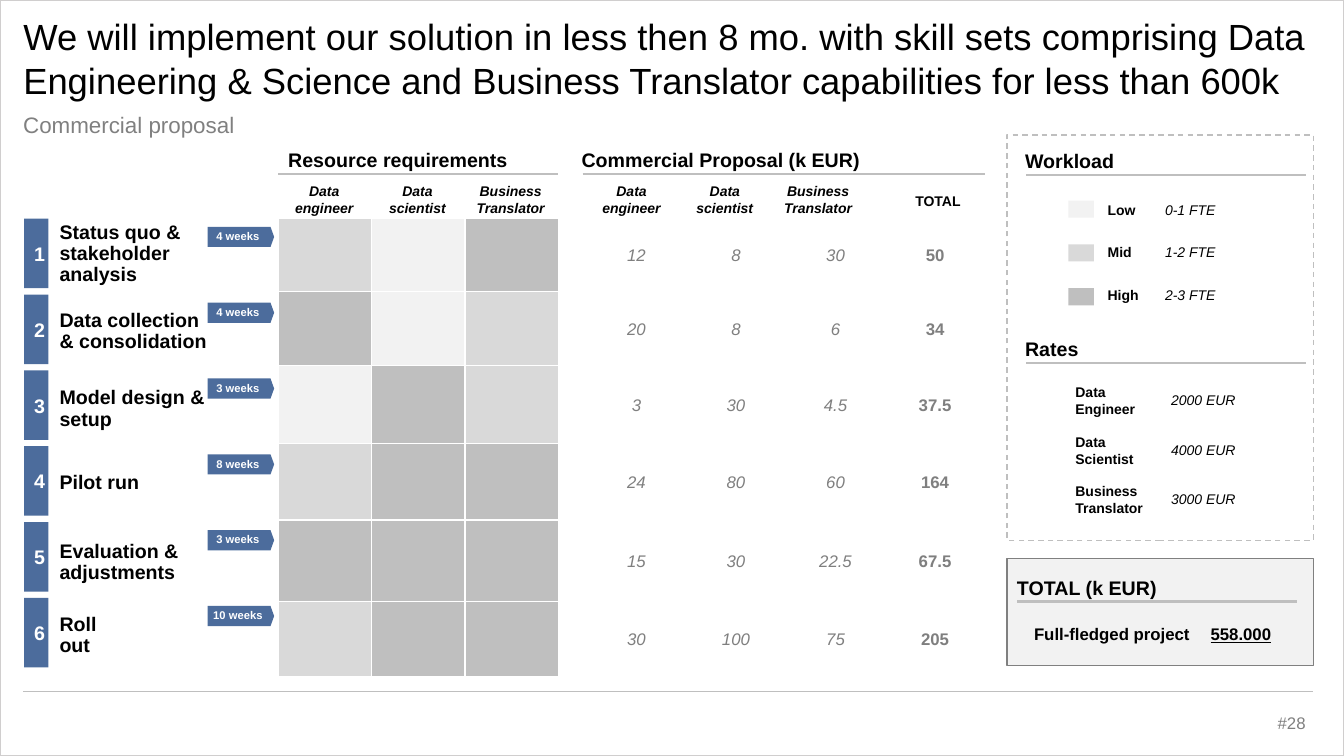
"""Build the commercial proposal slide: phases, workload heat map, prices and rates."""
import dataclasses

import lxml.etree
import pptx
import pptx.dml.color
import pptx.enum.dml
import pptx.enum.shapes
import pptx.enum.text
import pptx.oxml.ns
import pptx.util

ALIGN = pptx.enum.text.PP_ALIGN
ANCHOR = pptx.enum.text.MSO_ANCHOR
FIT = pptx.enum.text.MSO_AUTO_SIZE
SHAPE = pptx.enum.shapes.MSO_SHAPE
WIDTH, HEIGHT = pptx.util.Inches(13.33), pptx.util.Inches(7.5)


@dataclasses.dataclass(frozen=True)
class Theme:
    """Colours and type sizes of the slide."""
    font: str = "Arial"
    ink: str = "000000"
    white: str = "FFFFFF"
    muted: str = "808080"
    price: str = "7F7F7F"
    accent: str = "4C6C9C"
    rule: str = "BFBFBF"
    frame: str = "D0CECE"
    low: str = "F2F2F2"
    mid: str = "D9D9D9"
    high: str = "BFBFBF"
    title: int = 26
    subtitle: int = 16
    heading: int = 14
    body: int = 12
    small: int = 10
    tag: int = 8


THEME = Theme()
LEVELS = {"L": THEME.low, "M": THEME.mid, "H": THEME.high}
ROLES = ["Data engineer", "Data scientist", "Business Translator"]
ROW_SHARES = [9.6, 9.87, 10.27, 10.13, 10.8, 9.87]
PHASE_PITCH = 10.03
# name, label width, label middle, weeks, workload per role, price per role
PHASES = [
    ("Status quo &\nstakeholder analysis", 14.25, 33.6, 4, "MLH", (12, 8, 30)),
    ("Data collection\n& consolidation", 11.1, 43.87, 4, "HLM", (20, 8, 6)),
    ("Model design &\nsetup", 11.1, 54.13, 3, "LHM", (3, 30, 4.5)),
    ("Pilot run", 5.93, 63.87, 8, "MHH", (24, 80, 60)),
    ("Evaluation &\nadjustments", 9.23, 74.4, 3, "HHH", (15, 30, 22.5)),
    ("Roll out", 5.4, 84.13, 10, "MHH", (30, 100, 75)),
]
WORKLOADS = [("Low", "0-1 FTE", "L"), ("Mid", "1-2 FTE", "M"), ("High", "2-3 FTE", "H")]
RATES = [("Data Engineer", "2000 EUR"), ("Data Scientist", "4000 EUR"),
         ("Business Translator", "3000 EUR")]
FLUSH = {"margin_left": 0, "margin_right": 0}
TIGHT = {**FLUSH, "margin_top": 0, "margin_bottom": 0}


def rgb(colour):
    """Return a colour object for a hex string."""
    return pptx.dml.color.RGBColor.from_string(colour)


def across(share):
    """Return a length as a percentage of the slide width."""
    return int(WIDTH * share / 100)


def down(share):
    """Return a length as a percentage of the slide height."""
    return int(HEIGHT * share / 100)


def area(left, top, width, height):
    """Return left, top, width and height from shares of the slide."""
    return across(left), down(top), across(width), down(height)


def apply(target, values):
    """Set attributes of an object from a dict."""
    for name, value in values.items():
        setattr(target, name, value)


def write(frame, text, size, colour=THEME.ink, bold=False, italic=False,
          underline=None, align=ALIGN.LEFT, spacing=None, **frame_format):
    """Fill a text frame, one paragraph per line of text."""
    apply(frame, {"word_wrap": True, **frame_format})
    for index, line in enumerate(text.split("\n")):
        paragraph = frame.add_paragraph() if index else frame.paragraphs[0]
        apply(paragraph, {"alignment": align, "line_spacing": spacing})
        run = paragraph.add_run()
        run.text = line
        apply(run.font, {"name": THEME.font, "size": pptx.util.Pt(size), "bold": bold,
                         "italic": italic, "underline": underline})
        run.font.color.rgb = rgb(colour)


def add_label(slide, place, text, size, **text_format):
    """Add a text box."""
    frame = slide.shapes.add_textbox(*area(*place)).text_frame
    write(frame, text, size, **text_format)


def add_block(slide, place, fill=None, line=None, kind=SHAPE.RECTANGLE):
    """Add a preset shape with an optional fill and outline."""
    block = slide.shapes.add_shape(kind, *area(*place))
    block.shadow.inherit = False
    if fill:
        block.fill.solid()
        block.fill.fore_color.rgb = rgb(fill)
    else:
        block.fill.background()
    if line:
        block.line.color.rgb = rgb(line)
        block.line.width = pptx.util.Pt(1)
    else:
        block.line.fill.background()
    return block


def add_rule(slide, left, top, width, weight):
    """Add a horizontal line."""
    rule = slide.shapes.add_connector(
        pptx.enum.shapes.MSO_CONNECTOR.STRAIGHT,
        across(left), down(top), across(left + width), down(top))
    rule.line.color.rgb = rgb(THEME.rule)
    rule.line.width = pptx.util.Pt(weight)
    lxml.etree.SubElement(rule._element.spPr, pptx.oxml.ns.qn("a:effectLst"))


def add_heading(slide, text, left, top, rule_left, rule_width=20.85):
    """Add a bold section heading with a line below it."""
    add_label(slide, (left, top, 23, 4.53), text, THEME.heading, bold=True)
    add_rule(slide, rule_left, top + 4.1, rule_width, 1.5)


def add_role_names(slide, left):
    """Add the three role names above a table."""
    for index, role in enumerate(ROLES):
        add_label(slide, (left + 6.94 * index, 23.47, 6.68, 5.87), role, THEME.small,
                  bold=True, italic=True, align=ALIGN.CENTER)


def add_phase_table(slide, left, top, width, columns):
    """Add a plain table with one row per phase and return it."""
    place = area(left, top, width, sum(ROW_SHARES))
    table = slide.shapes.add_table(len(PHASES), columns, *place).table
    apply(table, {"first_row": False, "horz_banding": False})
    for row, share in zip(table.rows, ROW_SHARES):
        row.height = down(share)
    return table


def paint_cell(cell, fill, border=None):
    """Fill a cell and optionally outline it."""
    for side in ("lnL", "lnR", "lnT", "lnB") if border else ():
        edge = lxml.etree.SubElement(cell._tc.get_or_add_tcPr(),
                                     pptx.oxml.ns.qn("a:" + side), w="12700")
        solid = lxml.etree.SubElement(edge, pptx.oxml.ns.qn("a:solidFill"))
        lxml.etree.SubElement(solid, pptx.oxml.ns.qn("a:srgbClr"), val=border)
    cell.fill.solid()
    cell.fill.fore_color.rgb = rgb(fill)


def add_phase(slide, index, name, width, middle, weeks):
    """Add the number, name and duration tag of one phase."""
    offset = PHASE_PITCH * index
    number = add_block(slide, (1.8, 28.93 + offset, 1.8, 9.2), THEME.accent)
    write(number.text_frame, str(index + 1), THEME.heading, THEME.white, bold=True,
          align=ALIGN.CENTER, vertical_anchor=ANCHOR.MIDDLE)
    add_label(slide, (4.43, middle - 4.53, width, 9.06), name, THEME.heading, bold=True,
              spacing=0.9, vertical_anchor=ANCHOR.MIDDLE, **{**TIGHT, "word_wrap": False})
    tag = add_block(slide, (15.45, 30 + offset, 4.95, 2.67), THEME.accent, kind=SHAPE.PENTAGON)
    tag.adjustments[0] = 0.18
    write(tag.text_frame, f"{weeks} weeks", THEME.tag, THEME.white, bold=True,
          align=ALIGN.CENTER, spacing=0.9, vertical_anchor=ANCHOR.MIDDLE, word_wrap=False,
          margin_left=0, margin_right=pptx.util.Pt(2.9))


def add_tables(slide):
    """Add the workload heat map and the price table."""
    workload = add_phase_table(slide, 20.7, 28.93, 20.85, 3)
    prices = add_phase_table(slide, 43.65, 29.07, 29.63, 4)
    for row, (*_, levels, costs) in enumerate(PHASES):
        for column, level in enumerate(levels):
            paint_cell(workload.cell(row, column), LEVELS[level], THEME.white)
        for column, cost in enumerate((*costs, sum(costs))):
            cell, is_total = prices.cell(row, column), column == len(costs)
            paint_cell(cell, THEME.white)
            apply(cell, {**TIGHT, "vertical_anchor": ANCHOR.MIDDLE})
            write(cell.text_frame, f"{cost:g}", THEME.body, THEME.price,
                  bold=is_total, italic=not is_total, align=ALIGN.CENTER)


def add_legend(slide):
    """Add the dashed panel with workload levels and rates."""
    panel = add_block(slide, (74.93, 17.87, 22.8, 53.6), line=THEME.rule)
    panel.line.dash_style = pptx.enum.dml.MSO_LINE.DASH
    add_heading(slide, "Workload", 75.53, 19.07, 76.35)
    add_heading(slide, "Rates", 75.53, 43.87, 76.35)
    for index, (name, load, level) in enumerate(WORKLOADS):
        top = 26 + 5.6 * index
        add_block(slide, (79.5, 26.53 + 5.8 * index, 1.9, 2.27), LEVELS[level])
        add_label(slide, (81.68, top, 5.7, 3.6), name, THEME.small, bold=True)
        add_label(slide, (85.95, top, 7.95, 3.6), load, THEME.small, italic=True)
    for index, (role, rate) in enumerate(RATES):
        top = 50.13 + 6.53 * index
        add_label(slide, (79.28, top, 6.9, 5.87), role, THEME.small, bold=True)
        add_label(slide, (86.4, top + 1.05, 7.95, 3.6), rate, THEME.small, italic=True)


def add_total(slide):
    """Add the panel with the project total."""
    add_block(slide, (74.93, 73.87, 22.8, 14.13), THEME.low, THEME.muted)
    add_heading(slide, "TOTAL (k EUR)", 74.93, 75.47, 75.68)
    add_label(slide, (76.2, 81.87, 13.28, 4), "Full-fledged project", THEME.body,
              bold=True, word_wrap=False)
    add_label(slide, (89.33, 81.87, 6.08, 4), "558.000", THEME.body,
              bold=True, underline=True, word_wrap=False)


def add_title(slide):
    """Format the title and add the subtitle, footer line and page number."""
    place = area(1.73, 1.2, 95.93, 13.07)
    apply(slide.shapes.title, dict(zip(("left", "top", "width", "height"), place)))
    write(slide.shapes.title.text_frame,
          "We will implement our solution in less then 8 mo. with skill sets comprising Data "
          "Engineering & Science and Business Translator capabilities for less than 600k",
          THEME.title, vertical_anchor=ANCHOR.TOP, auto_size=FIT.NONE, **FLUSH)
    add_label(slide, (1.73, 14, 95.93, 4.93), "Commercial proposal", THEME.subtitle,
              colour=THEME.muted, **FLUSH)
    add_rule(slide, 1.73, 91.47, 95.93, 0.5)
    add_label(slide, (92.78, 93.73, 5.1, 3.73), "#28", THEME.body, colour=THEME.muted,
              align=ALIGN.RIGHT, vertical_anchor=ANCHOR.MIDDLE)


def main():
    """Build and save the slide."""
    deck = pptx.Presentation()
    apply(deck, {"slide_width": WIDTH, "slide_height": HEIGHT})
    slide = deck.slides.add_slide(deck.slide_layouts.get_by_name("Title Only"))
    add_block(slide, (0, 0, 100, 100), line=THEME.frame)
    add_title(slide)
    add_heading(slide, "Resource requirements", 20.7, 18.93, 20.7)
    add_heading(slide, "Commercial Proposal (k EUR)", 42.53, 18.93, 43.35, 29.93)
    add_tables(slide)
    for left in (20.78, 43.65):
        add_role_names(slide, left)
    add_label(slide, (66.45, 24.8, 6.68, 3.6), "TOTAL", THEME.small,
              bold=True, align=ALIGN.CENTER)
    for index, (name, width, middle, weeks, *_) in enumerate(PHASES):
        add_phase(slide, index, name, width, middle, weeks)
    add_legend(slide)
    add_total(slide)
    deck.save("out.pptx")


if __name__ == "__main__":
    main()
